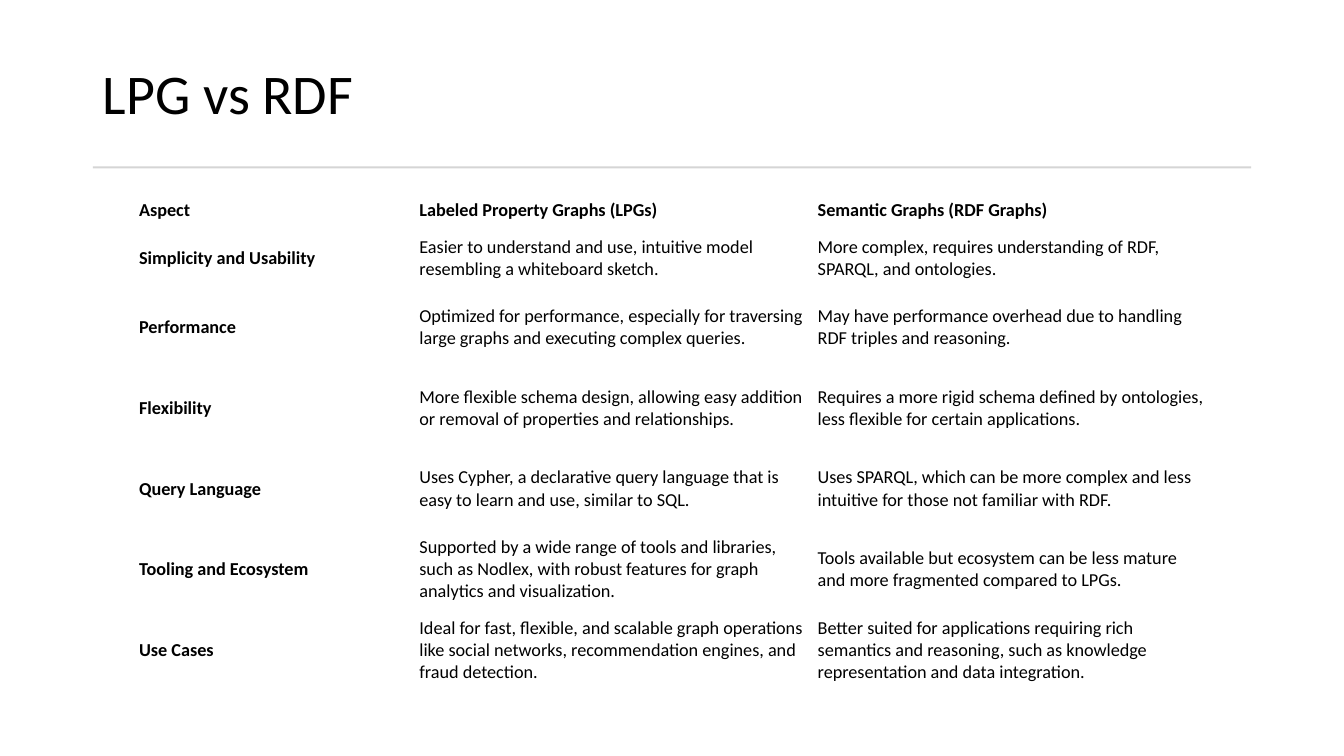
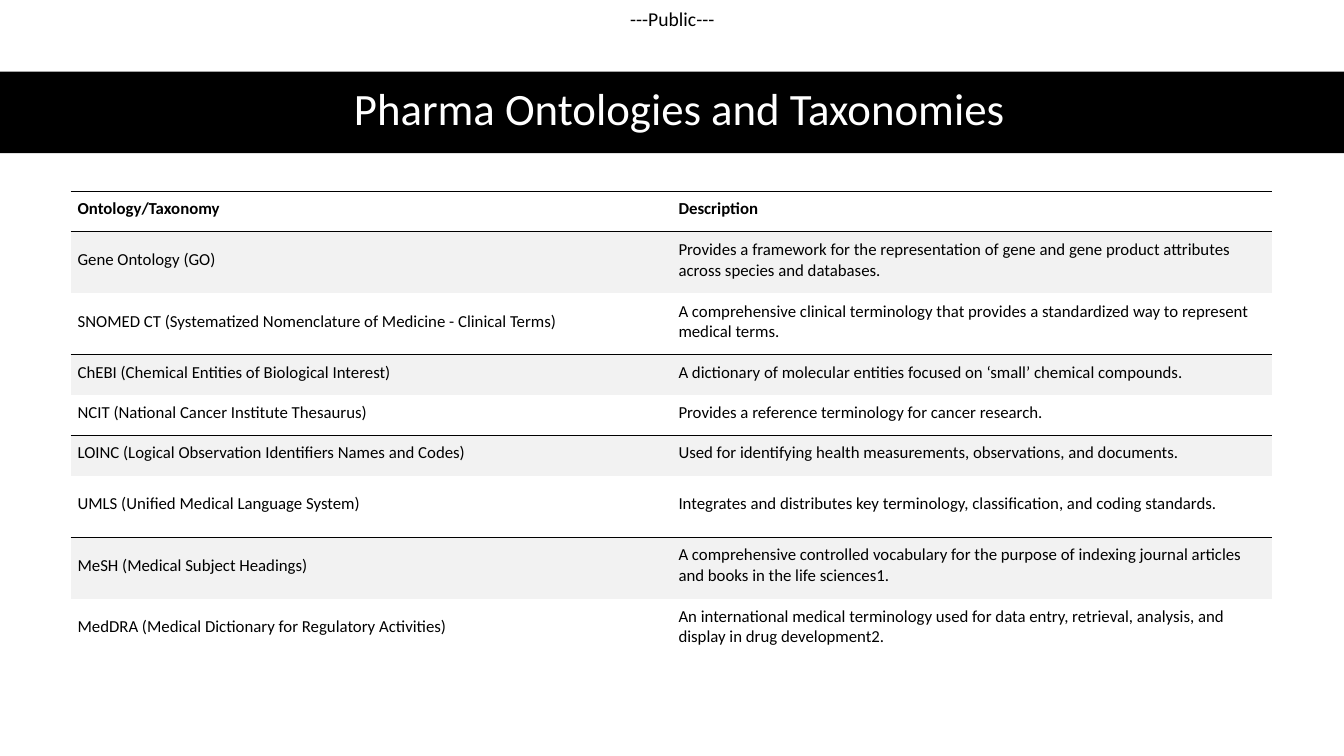
from dataclasses import dataclass

from lxml.etree import SubElement
from pptx import Presentation
from pptx.dml.color import RGBColor
from pptx.enum.shapes import MSO_SHAPE
from pptx.enum.text import MSO_ANCHOR, PP_ALIGN
from pptx.oxml.ns import qn
from pptx.slide import Slide
from pptx.table import _Cell
from pptx.util import Inches, Pt

# Shared look
FONT = "Calibri"
BLACK, WHITE = "000000", "FFFFFF"
RULE_GREY, STRIPE_GREY = "D5D5D5", "F2F2F2"
SLIDE_WIDTH, SLIDE_HEIGHT = 13.33, 7.5
NO_STYLE_NO_GRID = "{2D5ABB26-0587-4C30-8999-92F81FD0307C}"


@dataclass(frozen=True)
class Box:
    left: float
    top: float
    width: float
    height: float

    def lengths(self) -> tuple:
        return tuple(Inches(v) for v in (self.left, self.top, self.width, self.height))


@dataclass(frozen=True)
class TextStyle:
    size: int
    color: str = BLACK
    align: PP_ALIGN = PP_ALIGN.LEFT
    line_spacing: float = 1.0


@dataclass(frozen=True)
class TableStyle:
    left: float
    top: float
    columns: tuple[float, ...]
    rows: tuple[float, ...]
    margins: tuple[float, float, float, float]  # left, top, right, bottom
    text: TextStyle
    bold_first_column: bool = False
    ruled: bool = False  # grey stripes with a line below each pair of rows


def rgb(color: str) -> RGBColor:
    return RGBColor.from_string(color)


def set_margins(target, margins: tuple[float, float, float, float]) -> None:
    (target.margin_left, target.margin_top,
     target.margin_right, target.margin_bottom) = map(Inches, margins)


def write(frame, text: str, style: TextStyle, bold: bool = False) -> None:
    frame.word_wrap = True
    paragraph = frame.paragraphs[0]
    paragraph.text = text
    paragraph.alignment = style.align
    paragraph.line_spacing = style.line_spacing
    font = paragraph.font
    font.name, font.size, font.bold = FONT, Pt(style.size), bold
    font.color.rgb = rgb(style.color)


def add_text(slide: Slide, box: Box, text: str, style: TextStyle,
             anchor: MSO_ANCHOR = MSO_ANCHOR.MIDDLE,
             margins: tuple[float, float, float, float] = (0.1, 0.05, 0.1, 0.05)) -> None:
    frame = slide.shapes.add_textbox(*box.lengths()).text_frame
    frame.vertical_anchor = anchor
    set_margins(frame, margins)
    write(frame, text, style)


def add_band(slide: Slide, box: Box, color: str) -> None:
    band = slide.shapes.add_shape(MSO_SHAPE.RECTANGLE, *box.lengths())
    band.shadow.inherit = False
    band.fill.solid()
    band.fill.fore_color.rgb = rgb(color)
    band.line.fill.background()


def add_border(cell: _Cell, side: str) -> None:
    line = SubElement(cell._tc.get_or_add_tcPr(), qn(f"a:{side}"), w=str(Pt(1)))
    SubElement(SubElement(line, qn("a:solidFill")), qn("a:srgbClr"), val=BLACK)


def add_table(slide: Slide, rows: list[tuple[str, ...]], style: TableStyle) -> None:
    box = Box(style.left, style.top, sum(style.columns), sum(style.rows))
    table = slide.shapes.add_table(len(rows), len(style.columns), *box.lengths()).table
    table.first_row = table.horz_banding = False
    table._tbl.tblPr.find(qn("a:tableStyleId")).text = NO_STYLE_NO_GRID
    for column, width in zip(table.columns, style.columns):
        column.width = Inches(width)
    for row, height in zip(table.rows, style.rows):
        row.height = Inches(height)

    last = len(rows) - 1
    for r, texts in enumerate(rows):
        for c, text in enumerate(texts):
            cell = table.cell(r, c)
            cell.vertical_anchor = MSO_ANCHOR.MIDDLE
            set_margins(cell, style.margins)
            bold = r == 0 or (style.bold_first_column and c == 0)
            write(cell.text_frame, text, style.text, bold)
            # Borders come before the fill in the cell properties
            if style.ruled and r == 0:
                add_border(cell, "lnT")
            if style.ruled and r % 2 == 0 and r < last:
                add_border(cell, "lnB")
            if style.ruled and r % 2 == 1:
                cell.fill.solid()
                cell.fill.fore_color.rgb = rgb(STRIPE_GREY)
            else:
                cell.fill.background()


COMPARISON = [
    ("Aspect", "Labeled Property Graphs (LPGs)", "Semantic Graphs (RDF Graphs)"),
    ("Simplicity and Usability",
     "Easier to understand and use, intuitive model resembling a whiteboard sketch.",
     "More complex, requires understanding of RDF, SPARQL, and ontologies."),
    ("Performance",
     "Optimized for performance, especially for traversing large graphs and executing "
     "complex queries.",
     "May have performance overhead due to handling RDF triples and reasoning."),
    ("Flexibility",
     "More flexible schema design, allowing easy addition or removal of properties and "
     "relationships.",
     "Requires a more rigid schema defined by ontologies, less flexible for certain "
     "applications."),
    ("Query Language",
     "Uses Cypher, a declarative query language that is easy to learn and use, similar to SQL.",
     "Uses SPARQL, which can be more complex and less intuitive for those not familiar "
     "with RDF."),
    ("Tooling and Ecosystem",
     "Supported by a wide range of tools and libraries, such as Nodlex, with robust features "
     "for graph analytics and visualization.",
     "Tools available but ecosystem can be less mature and more fragmented compared to LPGs."),
    ("Use Cases",
     "Ideal for fast, flexible, and scalable graph operations like social networks, "
     "recommendation engines, and fraud detection.",
     "Better suited for applications requiring rich semantics and reasoning, such as "
     "knowledge representation and data integration."),
]

ONTOLOGIES = [
    ("Ontology/Taxonomy", "Description"),
    ("Gene Ontology (GO)",
     "Provides a framework for the representation of gene and gene product attributes "
     "across species and databases."),
    ("SNOMED CT (Systematized Nomenclature of Medicine - Clinical Terms)",
     "A comprehensive clinical terminology that provides a standardized way to represent "
     "medical terms."),
    ("ChEBI (Chemical Entities of Biological Interest)",
     "A dictionary of molecular entities focused on ‘small’ chemical compounds."),
    ("NCIT (National Cancer Institute Thesaurus)",
     "Provides a reference terminology for cancer research."),
    ("LOINC (Logical Observation Identifiers Names and Codes)",
     "Used for identifying health measurements, observations, and documents."),
    ("UMLS (Unified Medical Language System)",
     "Integrates and distributes key terminology, classification, and coding standards."),
    ("MeSH (Medical Subject Headings)",
     "A comprehensive controlled vocabulary for the purpose of indexing journal articles "
     "and books in the life sciences1."),
    ("MedDRA (Medical Dictionary for Regulatory Activities)",
     "An international medical terminology used for data entry, retrieval, analysis, and "
     "display in drug development2."),
]

SHORT_ROW, TALL_ROW = 0.4, 0.61
COMPARISON_STYLE = TableStyle(
    1.35, 1.9, (2.78, 3.95, 3.89), (0.37, 0.58) + (0.8,) * 5,
    (0.03, 0.06, 0.03, 0.06), TextStyle(13), bold_first_column=True)
ONTOLOGY_STYLE = TableStyle(
    0.7, 1.9, (5.96, 5.96),
    (SHORT_ROW,) + (TALL_ROW,) * 2 + (SHORT_ROW,) * 3 + (TALL_ROW,) * 3,
    (0.07, 0.05, 0.05, 0.1), TextStyle(12), ruled=True)


def build_comparison(slide: Slide) -> None:
    add_text(slide, Box(0.92, 0.37, 11.49, 1.18), "LPG vs RDF",
             TextStyle(40, line_spacing=0.9))
    add_band(slide, Box(0.92, 1.65, 11.49, 0.02), RULE_GREY)
    add_table(slide, COMPARISON, COMPARISON_STYLE)


def build_ontologies(slide: Slide) -> None:
    # Classification label
    add_text(slide, Box(6.25, 0.07, 0.88, 0.23), "---Public---", TextStyle(14),
             MSO_ANCHOR.TOP, (0, 0, 0, 0))
    # Title band
    add_band(slide, Box(0, 0.71, SLIDE_WIDTH, 0.81), BLACK)
    add_text(slide, Box(0.61, 0.7, 12.26, 0.81), "Pharma Ontologies and Taxonomies",
             TextStyle(32, WHITE, PP_ALIGN.CENTER, 0.9))
    add_table(slide, ONTOLOGIES, ONTOLOGY_STYLE)


def main() -> None:
    deck = Presentation()
    deck.slide_width, deck.slide_height = Inches(SLIDE_WIDTH), Inches(SLIDE_HEIGHT)
    blank = deck.slide_layouts[6]
    for build in (build_comparison, build_ontologies):
        build(deck.slides.add_slide(blank))
    deck.save("out.pptx")


if __name__ == "__main__":
    main()
